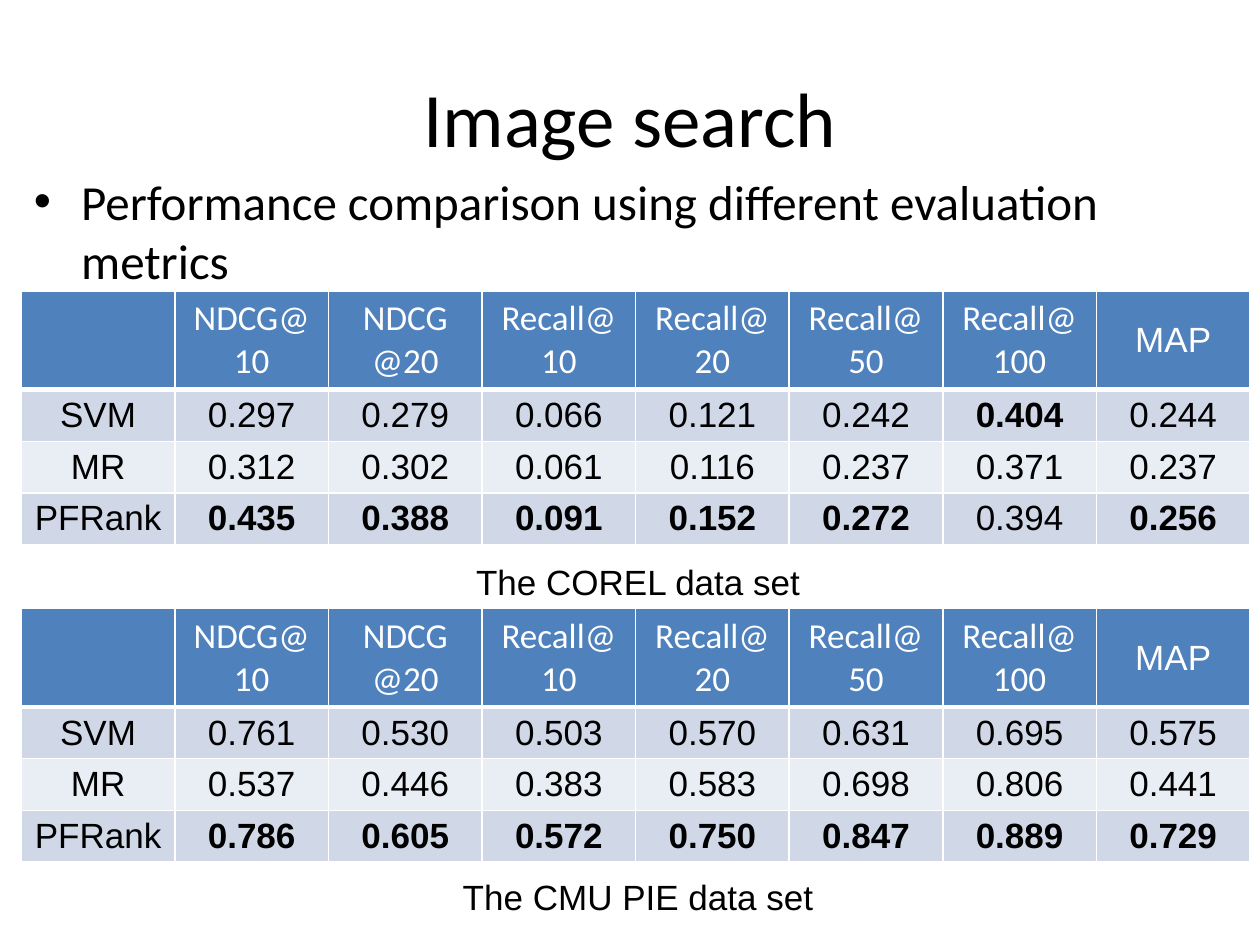
from dataclasses import dataclass

from lxml.etree import SubElement
from pptx import Presentation
from pptx.dml.color import RGBColor
from pptx.enum.text import MSO_ANCHOR, MSO_AUTO_SIZE, PP_ALIGN
from pptx.oxml.ns import qn
from pptx.util import Cm, Pt

COLORS = {
    "text": "000000",
    "white": "FFFFFF",
    "header": "4F81BD",
    "odd": "D0D8E8",
    "even": "E9EDF4",
}
METRICS = ["", "NDCG@10", "NDCG @20", "Recall@10", "Recall@20",
           "Recall@50", "Recall@100", "MAP"]
METHODS = ["SVM", "MR", "PFRank"]
LEFT, TABLE_W, TABLE_H, ROW_H = 0.43, 24.77, 5.26, 1.04


@dataclass
class Result:
    """Scores of each method on one data set, with its caption."""
    caption: str
    top: float
    caption_box: tuple[float, float, float, float]
    scores: list[list[str]]


RESULTS = [
    Result("The COREL data set", 5.87, (9.32, 11.18, 7.09, 1.11), [
        ["0.297", "0.279", "0.066", "0.121", "0.242", "0.404", "0.244"],
        ["0.312", "0.302", "0.061", "0.116", "0.237", "0.371", "0.237"],
        ["0.435", "0.388", "0.091", "0.152", "0.272", "0.394", "0.256"],
    ]),
    Result("The CMU PIE data set", 12.27, (9.04, 17.53, 7.65, 1.11), [
        ["0.761", "0.530", "0.503", "0.570", "0.631", "0.695", "0.575"],
        ["0.537", "0.446", "0.383", "0.583", "0.698", "0.806", "0.441"],
        ["0.786", "0.605", "0.572", "0.750", "0.847", "0.889", "0.729"],
    ]),
]


def write(tf, text: str, *, size: float = 20, font: str = "Arial",
          color: str = "text", bold: bool = False,
          align: PP_ALIGN = PP_ALIGN.CENTER) -> None:
    p = tf.paragraphs[0]
    p.alignment = align
    p.space_before = Pt(0)
    r = p.add_run()
    r.text = text
    r.font.size = Pt(size)
    r.font.name = font
    r.font.bold = bold
    r.font.color.rgb = RGBColor.from_string(COLORS[color])


def place(sp, left: float, top: float, width: float, height: float) -> None:
    sp.left, sp.top, sp.width, sp.height = map(Cm, (left, top, width, height))


def style_cell(cell, fill: str, bottom: float) -> None:
    # Borders come before the fill in the cell properties
    tcPr = cell._tc.get_or_add_tcPr()
    for side, width in (("L", 1), ("R", 1), ("T", 1), ("B", bottom)):
        ln = SubElement(tcPr, qn(f"a:ln{side}"), w=str(Pt(width)))
        solid = SubElement(ln, qn("a:solidFill"))
        SubElement(solid, qn("a:srgbClr"), val=COLORS["white"])
    cell.fill.solid()
    cell.fill.fore_color.rgb = RGBColor.from_string(COLORS[fill])
    cell.vertical_anchor = MSO_ANCHOR.MIDDLE


def add_scores(s, result: Result) -> None:
    rows = [METRICS] + [[m, *v] for m, v in zip(METHODS, result.scores)]
    frame = s.shapes.add_table(len(rows), len(METRICS), Cm(LEFT),
                               Cm(result.top), Cm(TABLE_W), Cm(TABLE_H))
    table = frame.table
    for row in table.rows:
        row.height = Cm(ROW_H)
    frame.height = Cm(TABLE_H)

    # The best score of each metric is bold
    best = [max(column) for column in zip(*result.scores)]
    for i, values in enumerate(rows):
        fill = "header" if i == 0 else "odd" if i % 2 else "even"
        for j, value in enumerate(values):
            cell = table.cell(i, j)
            style_cell(cell, fill, bottom=3 if i == 0 else 1)
            if not value:
                continue
            if i == 0:
                write(cell.text_frame, value, color="white",
                      font="Arial" if value == "MAP" else "Calibri")
            else:
                write(cell.text_frame, value,
                      bold=j > 0 and value == best[j - 1])


def add_caption(s, result: Result) -> None:
    tf = s.shapes.add_textbox(*map(Cm, result.caption_box)).text_frame
    tf.word_wrap = False
    tf.auto_size = MSO_AUTO_SIZE.SHAPE_TO_FIT_TEXT
    write(tf, result.caption)


def main() -> None:
    prs = Presentation()
    prs.slide_width, prs.slide_height = Cm(25.4), Cm(19.05)
    s = prs.slides.add_slide(prs.slide_layouts[1])

    # Title and bullet
    title, body = s.placeholders
    place(title, 1.27, 0.76, 22.86, 3.18)
    title.text_frame.vertical_anchor = MSO_ANCHOR.MIDDLE
    write(title.text_frame, "Image search", size=44, font="Calibri")
    place(body, LEFT, 3.33, 24.56, 13.79)
    body.text_frame.auto_size = MSO_AUTO_SIZE.NONE
    write(body.text_frame,
          "Performance comparison using different evaluation metrics",
          size=28, font="Calibri", align=PP_ALIGN.LEFT)

    # Tables, then their captions
    for result in RESULTS:
        add_scores(s, result)
    for result in RESULTS:
        add_caption(s, result)

    prs.save("out.pptx")


if __name__ == "__main__":
    main()
